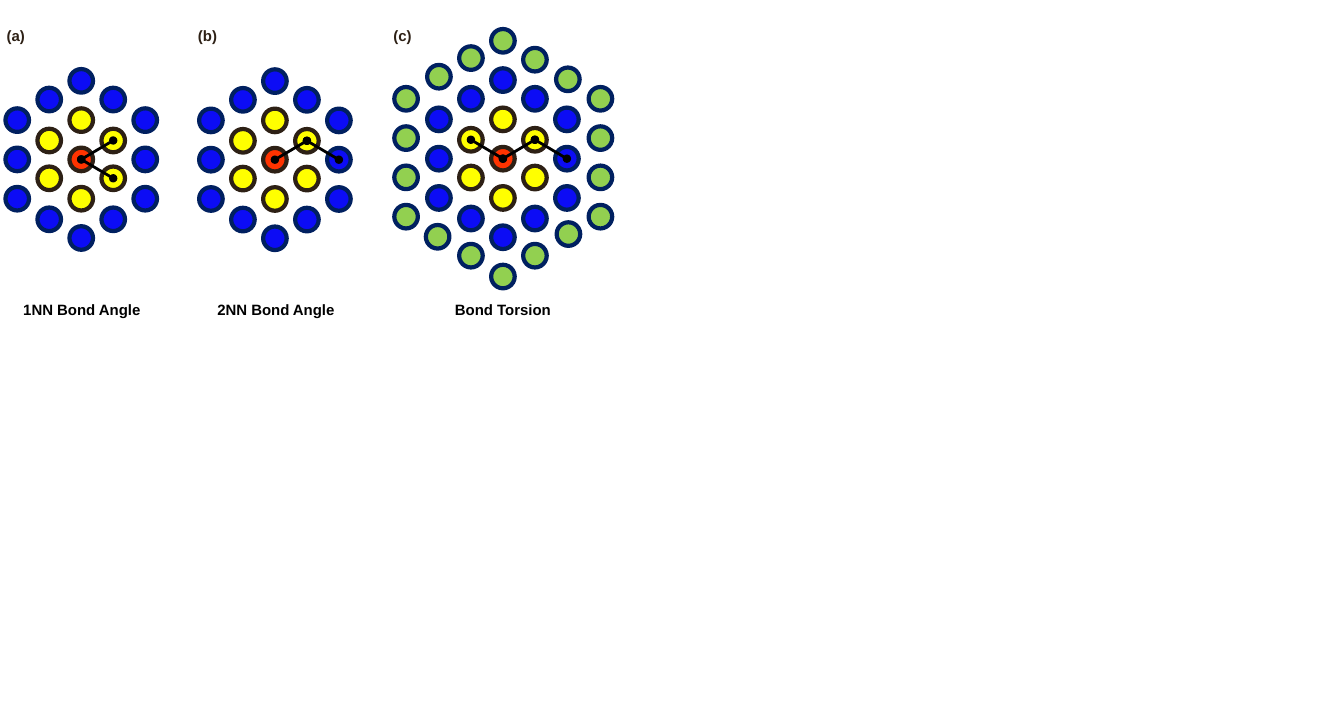
import pptx
import pptx.util
import pptx.dml.color
import pptx.enum.shapes
import pptx.enum.text
import pptx.oxml
import pptx.oxml.ns
from itertools import product

Pt = pptx.util.Pt
align = pptx.enum.text.PP_ALIGN
kinds = pptx.enum.shapes

hues = {
    "black": "000000", "brown": "2D2015", "navy": "002060", "red": "FF3300",
    "yellow": "FFFF00", "blue": "0C0CF5", "green": "92D050",
}


def rgb(name):
    return pptx.dml.color.RGBColor.from_string(hues[name])


def label(text, left, top, width, side, hue):
    box = slide.shapes.add_textbox(Pt(left), Pt(top), Pt(width), Pt(26.6))
    frame = box.text_frame
    frame.word_wrap = True
    frame.auto_size = pptx.enum.text.MSO_AUTO_SIZE.SHAPE_TO_FIT_TEXT
    para = frame.paragraphs[0]
    para.alignment = side
    run = para.add_run()
    run.text = text
    run.font.name = "Arial"
    run.font.size = Pt(16)
    run.font.bold = True
    run.font.color.rgb = rgb(hue)


deck = pptx.Presentation()
deck.slide_width = Pt(1436.4)
deck.slide_height = Pt(765.36)
slide = deck.slides.add_slide(deck.slide_layouts[6])

# Atom centres by shell, measured from the red atom
size = 25.2
step, half, row = 34.2, 20.2, 42
core = [(0, 0)]
near = [*product((-step, step), (-half, half)), (0, -row), (0, row)]
second = [
    *product((-2 * step, 2 * step), (-row, 0, row)),
    *product((-step, step), (-64, 64)),
    (0, -2 * row), (0, 2 * row),
]
third = [
    *product((-103.5, 104.2), (-64, -22, 20, 62)),
    (0, -3 * row), (0, 3 * row), (-step, 103.7), (step, 103.7),
    (-step, -107.5), (step, -105.8), (-68.4, -87.6), (69.4, -84.8),
    (-69.8, 83.5), (70, 80.6),
]
shells = [
    (near, "yellow", "brown"), (core, "red", "brown"),
    (second, "blue", "navy"), (third, "green", "navy"),
]

# Atoms that the bonds run through
mid, east = (0, 0), (2 * step, 0)
upper, lower, west = (step, -half), (step, half), (-step, -half)

# Tag, tag left, caption, caption left, centre x, centre y, shells, bond chain
panels = [
    ("(a)", 0, "1NN Bond Angle", 0, 86.8, 170.4, 3, [lower, mid, upper]),
    ("(b)", 204.5, "2NN Bond Angle", 207.4, 293.8, 170.7, 3, [mid, upper, east]),
    ("(c)", 413.3, "Bond Torsion", 450, 537.5, 169.6, 4, [west, mid, upper, east]),
]

for tag, left, title, start, cx, cy, count, chain in panels:
    group = slide.shapes.add_group_shape()
    for spots, fill, edge in shells[:count]:
        for x, y in spots:
            atom = group.shapes.add_shape(
                kinds.MSO_SHAPE.FLOWCHART_CONNECTOR,
                Pt(cx + x - size / 2), Pt(cy + y - size / 2), Pt(size), Pt(size))
            atom.shadow.inherit = False
            atom.fill.solid()
            atom.fill.fore_color.rgb = rgb(fill)
            atom.line.color.rgb = rgb(edge)
            atom.line.width = Pt(4.5)

    for (x1, y1), (x2, y2) in zip(chain, chain[1:]):
        bond = group.shapes.add_connector(
            kinds.MSO_CONNECTOR.STRAIGHT,
            Pt(cx + x1), Pt(cy + y1), Pt(cx + x2), Pt(cy + y2))
        bond.line.color.rgb = rgb("black")
        bond.line.width = Pt(3)
        props = bond._element.spPr
        line = props.find(pptx.oxml.ns.qn("a:ln"))
        for end in ("headEnd", "tailEnd"):
            line.append(pptx.oxml.parse_xml(
                f'<a:{end} {pptx.oxml.ns.nsdecls("a")} type="oval"/>'))
        props.append(pptx.oxml.parse_xml(
            f'<a:effectLst {pptx.oxml.ns.nsdecls("a")}/>'))

    label(title, start, 317.8, 175, align.CENTER, "black")
    label(tag, left, 24.5, 42.5, align.LEFT, "brown")

deck.save("out.pptx")
